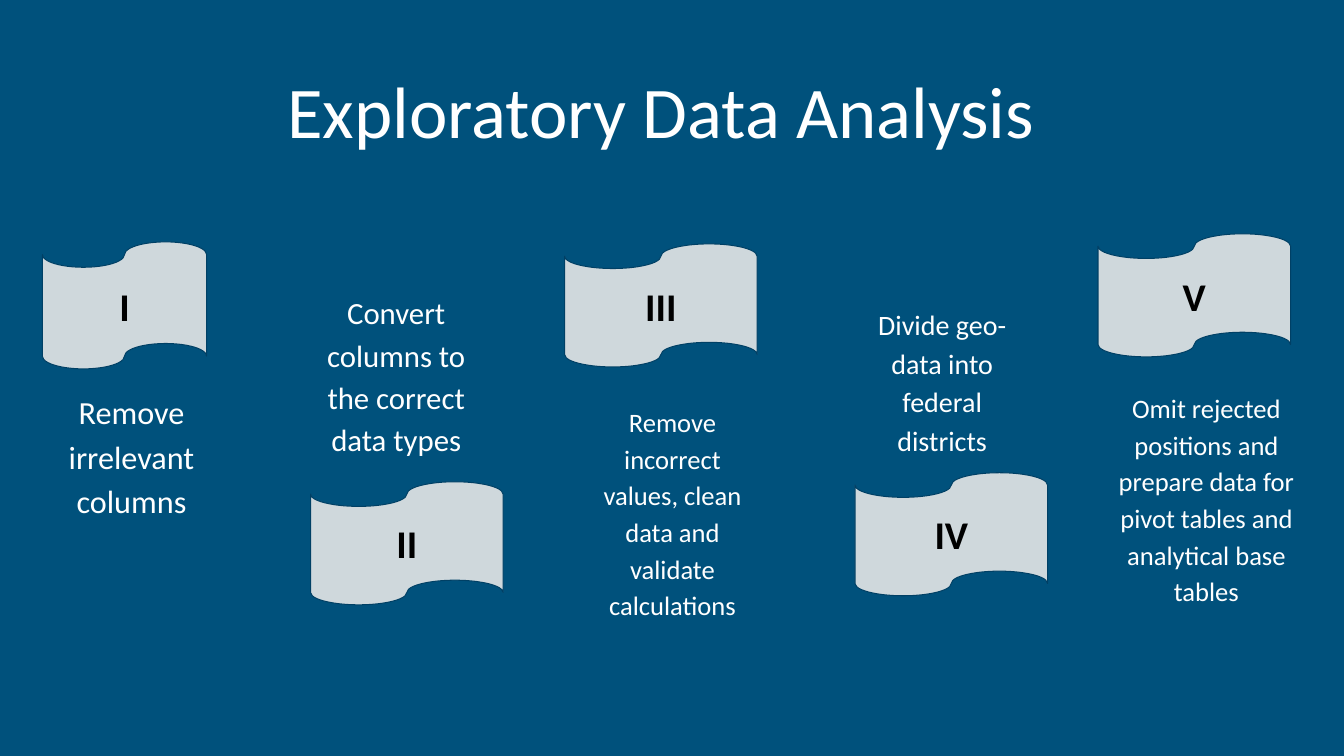
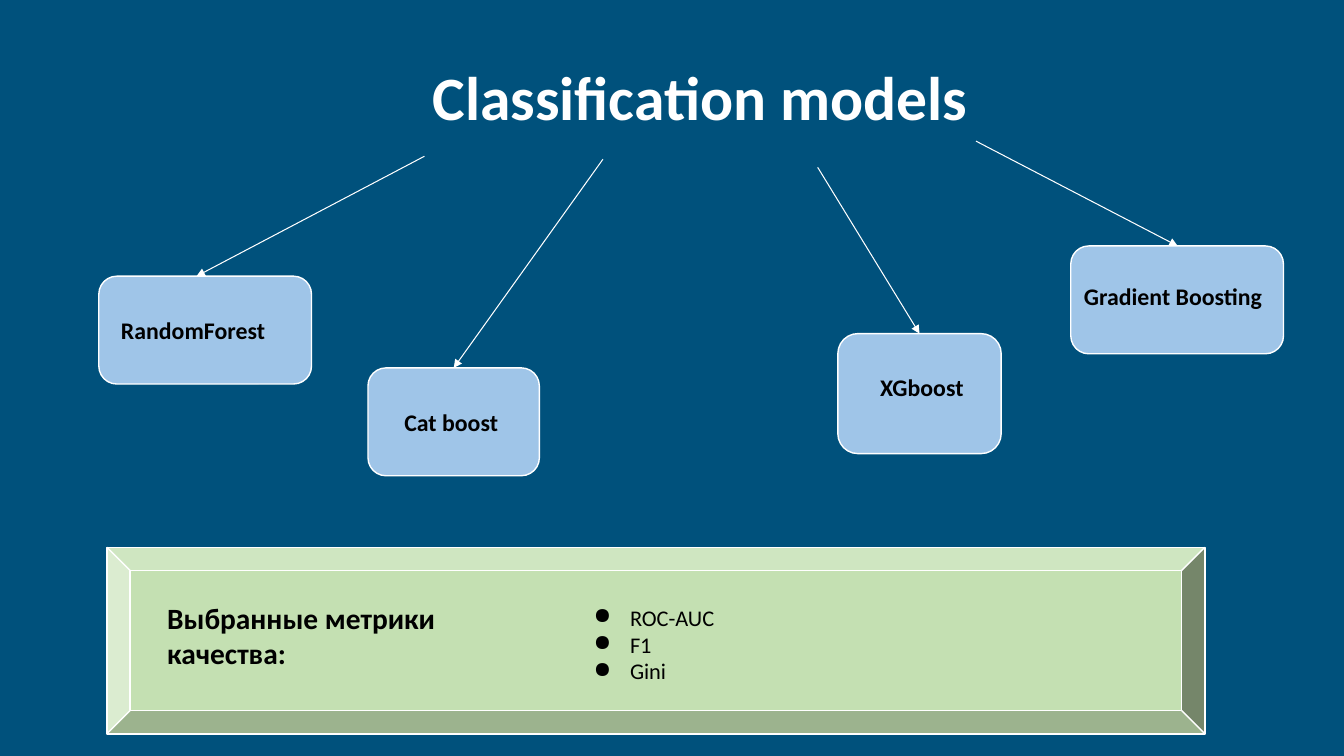
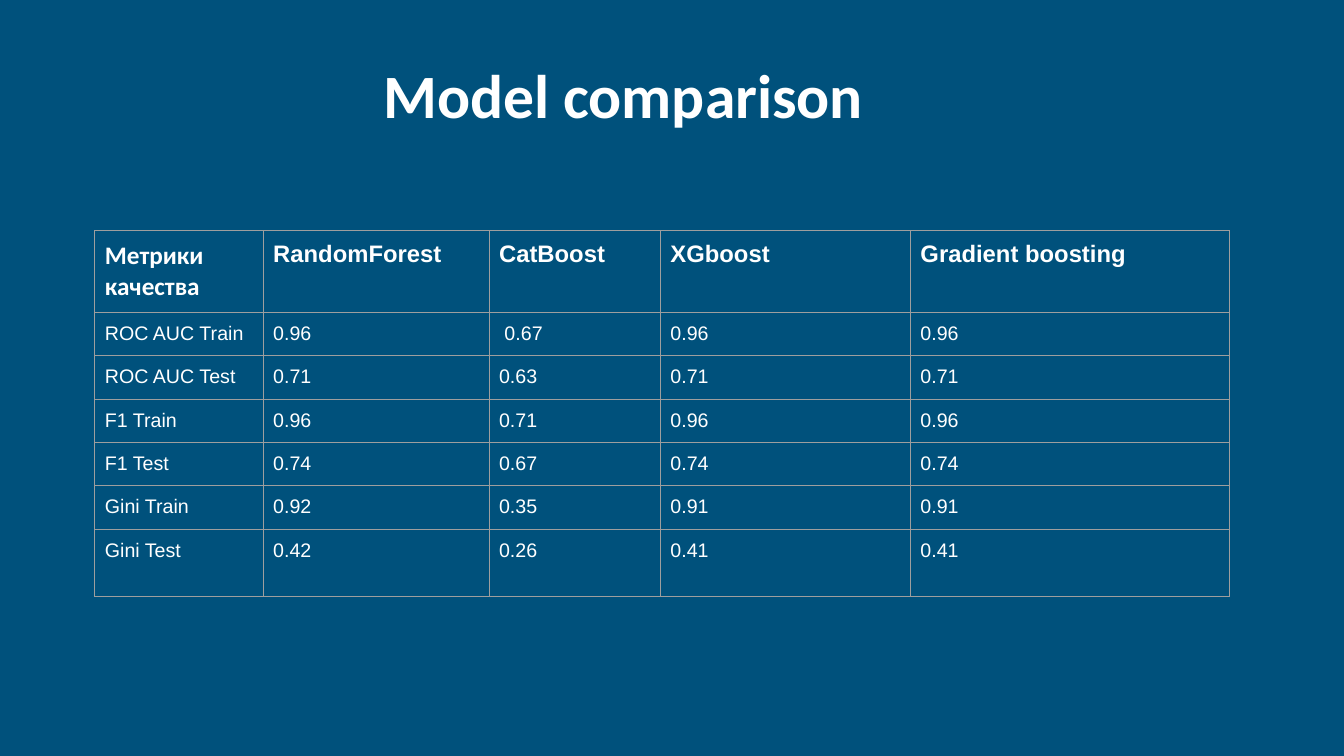
from dataclasses import dataclass

from lxml import etree
from pptx import Presentation
from pptx.dml.color import RGBColor
from pptx.enum.shapes import MSO_CONNECTOR, MSO_SHAPE
from pptx.enum.text import MSO_ANCHOR, MSO_AUTO_SIZE, PP_ALIGN
from pptx.oxml.ns import qn
from pptx.util import Inches, Pt

TAPE, ROUNDED, BEVEL = (MSO_SHAPE.FLOWCHART_PUNCHED_TAPE,
                        MSO_SHAPE.ROUNDED_RECTANGLE, MSO_SHAPE.BEVEL)
STRAIGHT = MSO_CONNECTOR.STRAIGHT
LEFT, CENTER = PP_ALIGN.LEFT, PP_ALIGN.CENTER
TOP, MIDDLE = MSO_ANCHOR.TOP, MSO_ANCHOR.MIDDLE
NO_AUTOFIT = MSO_AUTO_SIZE.NONE

COLORS = {
    "background": "00517C",
    "light": "FFFFFF",
    "dark": "000000",
    "tape": "CFD8DC",
    "tape_line": "004065",
    "model": "9FC5E8",
    "metrics": "C4E0B2",
    "grid": "9E9E9E",
}
TITLE_ONLY = 5

Box = tuple[float, float, float, float]


@dataclass(frozen=True)
class TextStyle:
    size: float
    color: str = "light"
    bold: bool = False
    font: str = "Calibri"
    align: PP_ALIGN = LEFT
    spacing: float = 1.0


@dataclass(frozen=True)
class Step:
    numeral: str
    tape: Box
    caption: str
    caption_box: Box
    caption_size: float


@dataclass(frozen=True)
class Model:
    name: str
    box: Box
    label_left: float
    label_top: float
    arrow_start: tuple[float, float]
    arrow_tip: float


TITLE = TextStyle(44, bold=True, align=CENTER)
NUMERAL = TextStyle(28, "dark", True, align=CENTER)
MODEL_LABEL = TextStyle(17, "dark", True)
METRICS_HEADING = TextStyle(21, "dark", True)
METRIC_ITEM = TextStyle(16, "dark")
CORNER_HEADER = TextStyle(18, bold=True)
MODEL_HEADER = TextStyle(17, bold=True, font="Arial")
TABLE_BODY = TextStyle(14, font="Arial")

STEPS = [
    Step("I", (0.42, 2.4, 1.63, 1.26), "Remove irrelevant columns",
         (0.35, 3.74, 1.91, 1.77), 23),
    Step("II", (3.08, 4.78, 1.91, 1.22), "Convert columns to the correct data types",
         (3.08, 2.76, 1.7, 2.14), 22),
    Step("III", (5.6, 2.42, 1.91, 1.22),
         "Remove incorrect values, clean data and validate calculations",
         (5.82, 3.88, 1.7, 2.64), 19),
    Step("IV", (8.48, 4.69, 1.91, 1.22), "Divide geo-data into federal districts",
         (8.48, 2.9, 1.73, 1.7), 20),
    Step("V", (10.89, 2.32, 1.91, 1.22),
         "Omit rejected positions and prepare data for pivot tables "
         "and analytical base tables",
         (10.89, 3.74, 2.15, 2.68), 19),
]

MODELS = [
    Model("RandomForest", (0.98, 2.74, 2.11, 1.07), 0.22, 0.39, (4.21, 1.55), 1.95),
    Model("Cat boost", (3.65, 3.65, 1.7, 1.07), 0.36, 0.39, (5.98, 1.58), 4.5),
    Model("XGboost", (8.31, 3.31, 1.62, 1.19), 0.42, 0.39, (8.11, 1.66), 9.12),
    Model("Gradient Boosting", (10.62, 2.44, 2.11, 1.07), 0.13, 0.35,
          (9.68, 1.4), 11.68),
]
METRICS = ["ROC-AUC", "F1", "Gini"]

COMPARISON = [
    ["Метрики качества", "RandomForest", "CatBoost", "XGboost", "Gradient boosting"],
    ["ROC AUC Train", "0.96", " 0.67", "0.96", "0.96"],
    ["ROC AUC Test", "0.71", "0.63", "0.71", "0.71"],
    ["F1 Train", "0.96", "0.71", "0.96", "0.96"],
    ["F1 Test", "0.74", "0.67", "0.74", "0.74"],
    ["Gini Train", "0.92", "0.35", "0.91", "0.91"],
    ["Gini Test", "0.42", "0.26", "0.41", "0.41"],
]
COLUMN_WIDTHS = [1.67, 2.24, 1.7, 2.48, 3.16]
ROW_HEIGHTS = [0.79] + [0.43] * 5 + [0.67]


def rgb(name: str) -> RGBColor:
    return RGBColor.from_string(COLORS[name])


def inches(box: Box) -> list:
    return [Inches(length) for length in box]


def set_margins(target, left=0.1, top=0.1, right=0.1, bottom=0.1) -> None:
    target.margin_left, target.margin_top = Inches(left), Inches(top)
    target.margin_right, target.margin_bottom = Inches(right), Inches(bottom)


def write(frame, lines: list[str], style: TextStyle, anchor=TOP) -> None:
    frame.word_wrap = True
    frame.auto_size = NO_AUTOFIT
    frame.vertical_anchor = anchor
    for index, line in enumerate(lines):
        paragraph = frame.paragraphs[0] if index == 0 else frame.add_paragraph()
        paragraph.alignment = style.align
        paragraph.line_spacing = style.spacing
        run = paragraph.add_run()
        run.text = line
        run.font.name = style.font
        run.font.size = Pt(style.size)
        run.font.bold = style.bold
        run.font.color.rgb = rgb(style.color)


def add_titled_slide(deck, title: str, box: Box, style: TextStyle = TITLE):
    slide = deck.slides.add_slide(deck.slide_layouts[TITLE_ONLY])
    heading = slide.shapes.title
    heading.left, heading.top, heading.width, heading.height = inches(box)
    set_margins(heading.text_frame, top=0.05, bottom=0.05)
    write(heading.text_frame, [title], style)
    return slide


def add_text(slide, box: Box, lines: list[str], style: TextStyle):
    frame = slide.shapes.add_textbox(*inches(box)).text_frame
    set_margins(frame)
    write(frame, lines, style)
    return frame


def add_panel(slide, kind, box: Box, fill: str, line: str, width: float):
    panel = slide.shapes.add_shape(kind, *inches(box))
    panel.shadow.inherit = False
    panel.fill.solid()
    panel.fill.fore_color.rgb = rgb(fill)
    panel.line.color.rgb = rgb(line)
    panel.line.width = Pt(width)
    return panel


def add_arrow(slide, start: tuple[float, float], end: tuple[float, float]) -> None:
    arrow = slide.shapes.add_connector(STRAIGHT, *inches(start + end))
    arrow.line.color.rgb = rgb("light")
    arrow.line.width = Pt(0.75)
    properties = arrow.element.spPr
    etree.SubElement(properties.find(qn("a:ln")), qn("a:tailEnd"), type="triangle")
    etree.SubElement(properties, qn("a:effectLst"))


def add_bullet(paragraph) -> None:
    properties = paragraph._p.get_or_add_pPr()
    properties.set("marL", str(Inches(0.5)))
    properties.set("indent", str(Inches(-0.36)))
    color = etree.SubElement(properties, qn("a:buClr"))
    etree.SubElement(color, qn("a:srgbClr"), val=COLORS["dark"])
    etree.SubElement(properties, qn("a:buChar"), char="●")


def add_borders(cell) -> None:
    properties = cell._tc.get_or_add_tcPr()
    for side in ("lnL", "lnR", "lnT", "lnB"):
        border = etree.SubElement(properties, qn(f"a:{side}"), w=str(Pt(0.75)))
        fill = etree.SubElement(border, qn("a:solidFill"))
        etree.SubElement(fill, qn("a:srgbClr"), val=COLORS["grid"])


def build_analysis(deck) -> None:
    slide = add_titled_slide(deck, "Exploratory Data Analysis",
                             (2.75, 0.33, 9.25, 1.99), TextStyle(52, spacing=1.31))
    for step in STEPS:
        tape = add_panel(slide, TAPE, step.tape, "tape", "tape_line", 0.75)
        set_margins(tape.text_frame)
        write(tape.text_frame, [step.numeral], NUMERAL, MIDDLE)
        add_text(slide, step.caption_box, [step.caption],
                 TextStyle(step.caption_size, align=CENTER, spacing=1.15))


def build_models(deck) -> None:
    slide = add_titled_slide(deck, "Classification models", (3.57, 0.53, 6.75, 0.84))
    # Models, each with an arrow from the title
    for model in MODELS:
        add_arrow(slide, model.arrow_start, (model.arrow_tip, model.box[1]))
        node = add_panel(slide, ROUNDED, model.box, "model", "light", 1)
        set_margins(node.text_frame, model.label_left, model.label_top, 0, 0)
        # The preset's text area is inset by its corners, so undo that here
        corner_inset = 0.167 * min(model.box[2:]) * 0.29
        node.text_frame.margin_left = Inches(model.label_left - corner_inset)
        node.text_frame.margin_top = Inches(model.label_top - corner_inset)
        write(node.text_frame, [model.name], MODEL_LABEL)
    # Quality metrics
    add_panel(slide, BEVEL, (1.06, 5.43, 10.89, 1.85), "metrics", "light", 1)
    add_text(slide, (1.56, 5.85, 2.9, 0.91), ["Выбранные метрики качества:"],
             METRICS_HEADING)
    metric_list = add_text(slide, (5.65, 5.89, 3.71, 1.25), METRICS, METRIC_ITEM)
    for paragraph in metric_list.paragraphs:
        add_bullet(paragraph)


def build_comparison(deck) -> None:
    slide = add_titled_slide(deck, "Model comparison", (3.3, 0.51, 5.77, 0.84))
    box = (0.94, 2.29, sum(COLUMN_WIDTHS), sum(ROW_HEIGHTS))
    scores = slide.shapes.add_table(len(COMPARISON), len(COLUMN_WIDTHS),
                                    *inches(box)).table
    scores.first_row = scores.horz_banding = False
    for column, width in zip(scores.columns, COLUMN_WIDTHS):
        column.width = Inches(width)
    for row, height, values in zip(scores.rows, ROW_HEIGHTS, COMPARISON):
        row.height = Inches(height)
        header = values is COMPARISON[0]
        for index, (cell, value) in enumerate(zip(row.cells, values)):
            style = TABLE_BODY
            if header:
                style = MODEL_HEADER if index else CORNER_HEADER
            add_borders(cell)
            cell.fill.background()
            set_margins(cell)
            cell.vertical_anchor = TOP
            write_cell(cell, value, style)


def write_cell(cell, value: str, style: TextStyle) -> None:
    run = cell.text_frame.paragraphs[0].add_run()
    run.text = value
    run.font.name = style.font
    run.font.size = Pt(style.size)
    run.font.bold = style.bold
    run.font.color.rgb = rgb(style.color)


def main() -> None:
    deck = Presentation()
    deck.slide_width, deck.slide_height = Inches(13.33), Inches(7.5)
    backdrop = deck.slide_master.background.fill
    backdrop.solid()
    backdrop.fore_color.rgb = rgb("background")
    build_analysis(deck)
    build_models(deck)
    build_comparison(deck)
    deck.save("out.pptx")


if __name__ == "__main__":
    main()
